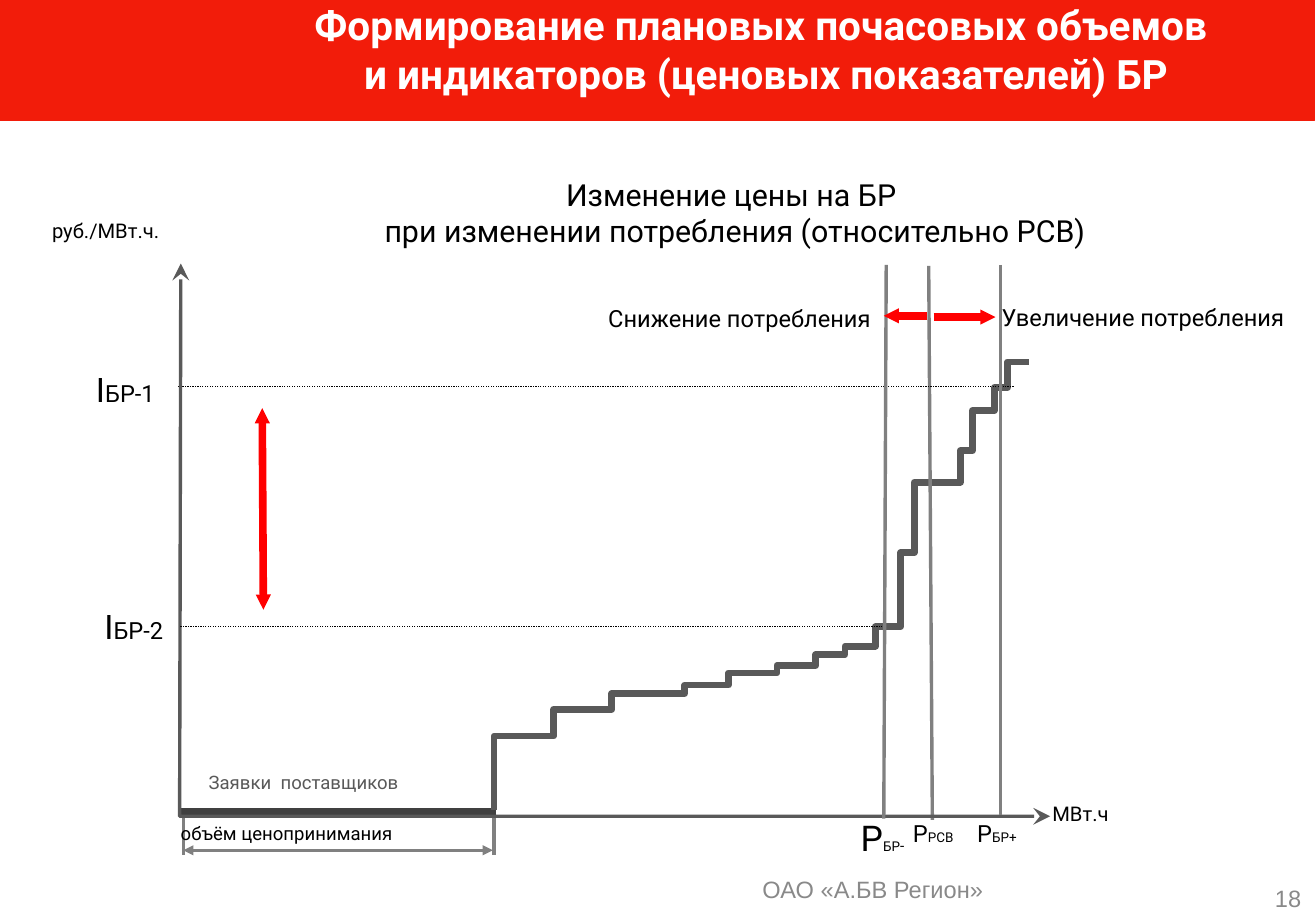
from lxml import etree
from pptx import Presentation
from pptx.dml.color import RGBColor
from pptx.enum.dml import MSO_LINE
from pptx.enum.shapes import MSO_CONNECTOR, MSO_SHAPE
from pptx.enum.text import MSO_ANCHOR, MSO_AUTO_SIZE, PP_ALIGN
from pptx.oxml.ns import qn
from pptx.util import Pt

PX = 9144
STRAIGHT, RECTANGLE = MSO_CONNECTOR.STRAIGHT, MSO_SHAPE.RECTANGLE
DOTTED = MSO_LINE.ROUND_DOT
LEFT, CENTER, RIGHT = PP_ALIGN.LEFT, PP_ALIGN.CENTER, PP_ALIGN.RIGHT
TOP, MIDDLE = MSO_ANCHOR.TOP, MSO_ANCHOR.MIDDLE
FIXED, GROW = MSO_AUTO_SIZE.NONE, MSO_AUTO_SIZE.SHAPE_TO_FIT_TEXT

BLACK, WHITE, RED, BAND = "000000", "FFFFFF", "FF0000", "F21C0A"
SLATE, GRAY, PALE = "595959", "808080", "898989"

BID_STEPS = [
    (606, 456), (584, 504), (571, 564), (564, 600), (554, 640), (548, 672),
    (539, 696), (532, 721), (516, 742), (455, 753), (397, 791), (371, 801),
    (338, 819), (319, 830), (298, 848),
]


def px(*lengths):
    """Turn px lengths into EMU."""
    return [length * PX for length in lengths]


def color(hex_string):
    """Turn a hex string into a colour."""
    return RGBColor.from_string(hex_string)


def format_text(frame, runs, tint=BLACK, font="Roboto", bold=False, align=LEFT,
                anchor=TOP, insets=(0, 0), wrap=True, fit=FIXED, spacing=None):
    """Fill a text frame with (text, size) runs and format it."""
    frame.word_wrap, frame.auto_size, frame.vertical_anchor = wrap, fit, anchor
    frame.margin_left = frame.margin_right = insets[0] * PX
    frame.margin_top = frame.margin_bottom = insets[1] * PX
    paragraph = frame.paragraphs[0]
    paragraph.alignment = align
    if spacing:
        paragraph.line_spacing = spacing
    for text, size in runs:
        for index, row in enumerate(text.split("\n")):
            if index:
                paragraph.add_line_break()
            run = paragraph.add_run()
            run.text = row
            run.font.name, run.font.size, run.font.bold = font, Pt(size), bold
            run.font.color.rgb = color(tint)


def add_label(slide, box, *runs, **formats):
    """Add a text box holding the runs."""
    label = slide.shapes.add_textbox(*px(*box))
    format_text(label.text_frame, runs, **formats)


def style_line(shape, tint, width, ends="", arrow="triangle", size="med", dash=None):
    """Format a line and put arrowheads on the named ends."""
    shape.line.color.rgb = color(tint)
    shape.line.width = Pt(width)
    if dash:
        shape.line.dash_style = dash
    outline = shape.element.spPr.find(qn("a:ln"))
    for end in ends.split():
        etree.SubElement(outline, qn(f"a:{end}End"), type=arrow, w=size, len=size)


def add_line(slide, start, end, tint, width, **formats):
    """Add a straight line between two points."""
    line = slide.shapes.add_connector(STRAIGHT, *px(*start, *end))
    style_line(line, tint, width, **formats)
    etree.SubElement(line.element.spPr, qn("a:effectLst"))


def add_polyline(slide, points, tint, width, **formats):
    """Add an open unfilled outline through the points."""
    builder = slide.shapes.build_freeform(*points[0], scale=PX)
    builder.add_line_segments(points[1:], close=False)
    outline = builder.convert_to_shape()
    outline.fill.background()
    outline.shadow.inherit = False
    style_line(outline, tint, width, **formats)


def add_heading(slide):
    """Add the red band with the slide title over it."""
    band = slide.shapes.add_shape(RECTANGLE, *px(0, 0, 1083, 99))
    band.shadow.inherit = False
    band.fill.solid()
    band.fill.fore_color.rgb = color(BAND)
    style_line(band, BAND, 0.75)
    title = slide.shapes.title
    title.element.addprevious(band.element)
    title.left, title.top, title.width, title.height = px(179, 0, 904, 99)
    heading = "Формирование плановых почасовых объемов \nи индикаторов (ценовых показателей) БР"
    format_text(title.text_frame, [(heading, 24)], tint=WHITE, bold=True, align=CENTER)


def add_curve(slide):
    """Draw the supply curve, the axes and the level lines."""
    add_line(slide, (409, 668), (149, 668), "404040", 4.5)
    points = [(407, 667)]
    for level, right in BID_STEPS:
        points += [(points[-1][0], level), (right, level)]
    add_polyline(slide, points, SLATE, 4)
    add_line(slide, (765, 219), (768, 675), GRAY, 2)
    for x in (151, 407):
        add_line(slide, (x, 671), (x, 704), GRAY, 2)
    add_line(slide, (151, 700), (406, 700), GRAY, 2, ends="head tail")
    add_line(slide, (835, 318), (147, 318), BLACK, 0.75, dash=DOTTED)
    add_polyline(slide, [(149, 217), (148, 672), (865, 672)], SLATE, 2,
                 ends="head tail", arrow="stealth", size="lg")
    add_line(slide, (769, 261), (820, 261), RED, 4.5, ends="tail", size="sm")
    add_line(slide, (729, 516), (148, 516), BLACK, 0.75, dash=DOTTED)
    add_line(slide, (824, 218), (824, 671), GRAY, 2)
    add_line(slide, (730, 218), (728, 674), GRAY, 2)
    add_line(slide, (764, 260), (728, 260), RED, 4.5, ends="tail", size="sm")
    add_line(slide, (216, 336), (217, 502), RED, 4.5, ends="head tail", size="sm")


def add_labels(slide):
    """Add the chart heading, axis names, price marks and footer."""
    caption = "Изменение цены на БР \nпри изменении потребления (относительно РСВ)"
    add_label(slide, (205, 143, 801, 64), (caption, 18),
              align=CENTER, anchor=MIDDLE, insets=(10, 5))

    loose = {"insets": (10, 5), "wrap": False, "fit": GROW}
    add_label(slide, (33, 175, 112, 30), ("руб./МВт.ч.", 12), **loose)
    add_label(slide, (857, 655, 68, 30), ("МВт.ч", 12), **loose)
    add_label(slide, (162, 630, 182, 29), ("Заявки  поставщиков", 11), tint=SLATE, **loose)
    add_label(slide, (139, 675, 207, 25), ("объём ценопринимания", 11), spacing=0.8, **loose)

    add_label(slide, (825, 249, 240, 47), ("Увеличение потребления", 14), fit=GROW)
    add_label(slide, (501, 250, 225, 47), ("Снижение потребления", 14), fit=GROW)
    add_label(slide, (752, 674, 39, 23), ("P", 14), ("РСВ", 8), fit=GROW)
    add_label(slide, (709, 672, 38, 35), ("P", 21), ("БР", 8), ("-", 9), fit=GROW)
    add_label(slide, (805, 674, 43, 23), ("P", 14), ("БР+", 8), fit=GROW)
    for x, y, mark in ((79, 304, "БР-1"), (86, 499, "БР-2")):
        add_label(slide, (x, y, 51, 33), ("I", 20), (mark, 14), wrap=False, fit=GROW)

    footer = {"tint": PALE, "font": "Arial", "anchor": MIDDLE, "insets": (12, 6)}
    add_label(slide, (384, 714, 670, 36), ("ОАО «А.БВ Регион»", 14), align=CENTER, **footer)
    add_label(slide, (1038, 729, 46, 21), ("18", 14), align=RIGHT, **footer)


def main():
    """Build and save the slide."""
    deck = Presentation()
    deck.slide_width, deck.slide_height = px(1084, 750)
    slide = deck.slides.add_slide(deck.slide_layouts[5])
    add_heading(slide)
    add_curve(slide)
    add_labels(slide)
    deck.save("out.pptx")


if __name__ == "__main__":
    main()
